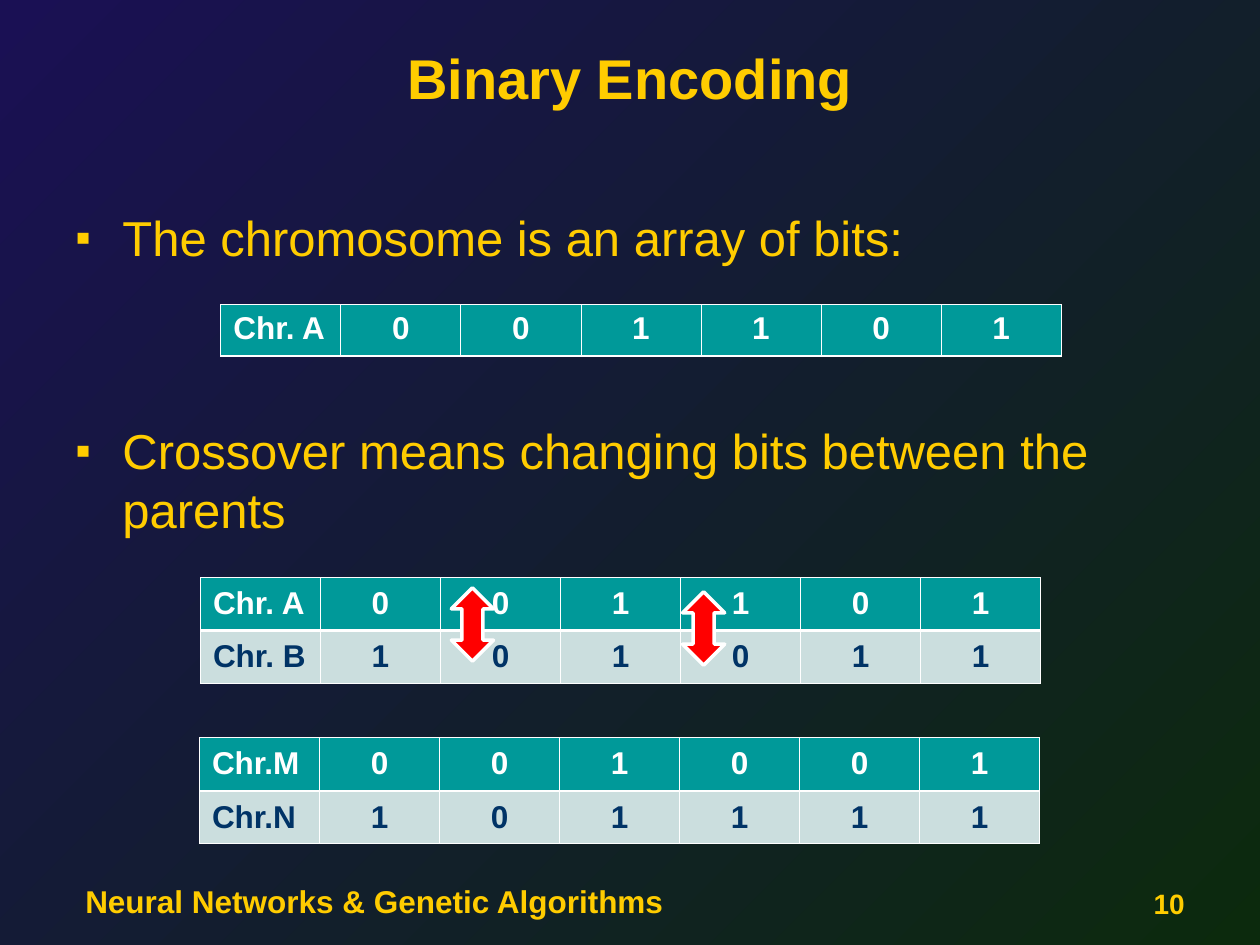
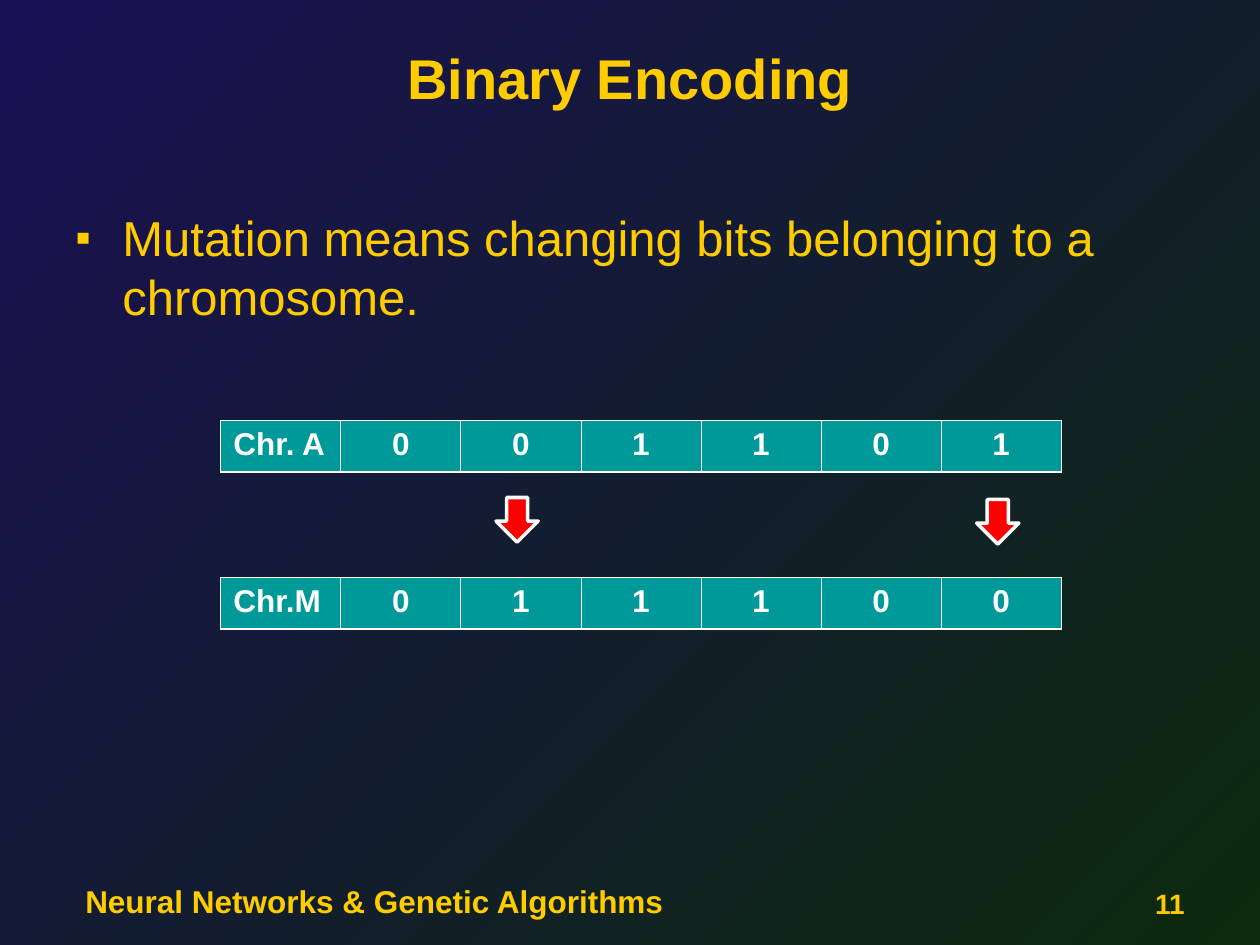
from lxml import etree
from pptx import Presentation
from pptx.dml.color import RGBColor
from pptx.enum import shapes, text
from pptx.oxml.ns import qn
from pptx.util import Cm, Pt

FONT = "Arial"
COLORS = {
    "sky": "1A1054",
    "ground": "0C2A0D",
    "gold": "FFCC00",
    "white": "FFFFFF",
    "teal": "009999",
    "pale": "CBDEDE",
    "navy": "003366",
    "red": "FF0000",
}
THIN, THICK = 0.45, 1.47
GENE_WIDTH = 2.42
FOOTER = "Neural Networks & Genetic Algorithms"
TITLE_ONLY = 5


def rgb(name):
    return RGBColor.from_string(COLORS[name])


def style(p, size, color="gold", bold=False, align=text.PP_ALIGN.LEFT):
    p.alignment = align
    p.font.name = FONT
    p.font.size = Pt(size)
    p.font.bold = bold
    p.font.color.rgb = rgb(color)


def set_background(master):
    fill = master.background.fill
    fill.gradient()
    fill.gradient_angle = 315
    for stop, name in zip(fill.gradient_stops, ("sky", "ground")):
        stop.color.rgb = rgb(name)


def add_label(slide, words, left, width, size, align):
    """Add a bold line to the band at the foot of the slide."""
    box = slide.shapes.add_textbox(Cm(left), Cm(17.35), Cm(width), Cm(1.32))
    tf = box.text_frame
    tf.word_wrap = True
    tf.vertical_anchor = text.MSO_ANCHOR.BOTTOM
    p = tf.paragraphs[0]
    p.text = words
    style(p, size, bold=True, align=align)


def new_slide(prs, title, number):
    slide = prs.slides.add_slide(prs.slide_layouts[TITLE_ONLY])
    sp = slide.shapes.title
    sp.left, sp.top, sp.width, sp.height = Cm(1.27), Cm(0.5), Cm(22.86), Cm(2.12)
    tf = sp.text_frame
    tf.text = title
    tf.vertical_anchor = text.MSO_ANCHOR.MIDDLE
    style(tf.paragraphs[0], 32, bold=True, align=text.PP_ALIGN.CENTER)
    add_label(slide, FOOTER, 1.47, 18.2, 18, text.PP_ALIGN.LEFT)
    add_label(slide, str(number), 18.2, 5.93, 16, text.PP_ALIGN.RIGHT)
    return slide


def add_bullet(p):
    pPr = p._p.get_or_add_pPr()
    pPr.set("marL", str(Cm(0.95)))
    pPr.set("indent", str(-Cm(0.95)))
    color = etree.Element(qn("a:buClr"))
    etree.SubElement(color, qn("a:srgbClr"), val=COLORS["gold"])
    marks = [
        color,
        etree.Element(qn("a:buSzPct"), val="90000"),
        etree.Element(qn("a:buFont"), typeface=FONT),
        etree.Element(qn("a:buChar"), char="▪"),
    ]
    for place, mark in enumerate(marks):
        pPr.insert_element_before(mark, *[qn(t) for t in ()], "a:tabLst", "a:defRPr", "a:extLst")


def add_bullets(slide, lines, gap=88):
    """Add bulleted lines, with gap points between them for a table."""
    box = slide.shapes.add_textbox(Cm(1.27), Cm(4.01), Cm(22.86), Cm(12.9))
    tf = box.text_frame
    tf.word_wrap = True
    tf.margin_top = Cm(0.18)
    for i, line in enumerate(lines):
        p = tf.add_paragraph() if i else tf.paragraphs[0]
        p.text = line
        p.line_spacing = Pt(33.6)
        p.space_before = Pt(gap if i else 0)
        style(p, 28)
        add_bullet(p)


def set_borders(cell, top, bottom):
    tcPr = cell._tc.get_or_add_tcPr()
    for side, width in (("L", THIN), ("R", THIN), ("T", top), ("B", bottom)):
        ln = etree.SubElement(tcPr, qn(f"a:ln{side}"), w=str(Pt(width)))
        fill = etree.SubElement(ln, qn("a:solidFill"))
        etree.SubElement(fill, qn("a:srgbClr"), val=COLORS["white"])


def add_chromosomes(slide, left, top, rows, row_height=1.04, spacing=1.0):
    """Add a table with one (name, bits) pair to a row."""
    columns = 1 + len(rows[0][1])
    frame = slide.shapes.add_table(
        len(rows), columns, Cm(left), Cm(top),
        Cm(GENE_WIDTH * columns), Cm(row_height * len(rows)))
    table = frame.table
    table.horz_banding = False
    for column in table.columns:
        column.width = Cm(GENE_WIDTH)
    for r, (name, bits) in enumerate(rows):
        table.rows[r].height = Cm(row_height)
        fill, color = ("pale", "navy") if r else ("teal", "white")
        for c, value in enumerate([name, *bits]):
            cell = table.cell(r, c)
            set_borders(cell, *((THICK, THIN) if r else (THIN, THICK)))
            cell.fill.solid()
            cell.fill.fore_color.rgb = rgb(fill)
            p = cell.text_frame.paragraphs[0]
            p.text = value
            p.line_spacing = spacing
            align = text.PP_ALIGN.CENTER if c else text.PP_ALIGN.LEFT
            style(p, 18, color, bold=True, align=align)


def add_arrow(slide, kind, left, top, height):
    sp = slide.shapes.add_shape(kind, Cm(left), Cm(top), Cm(0.85), Cm(height))
    sp.shadow.inherit = False
    sp.fill.solid()
    sp.fill.fore_color.rgb = rgb("red")
    sp.line.color.rgb = rgb("white")
    sp.line.width = Pt(2)


def add_crossover_slide(prs):
    slide = new_slide(prs, "Binary Encoding", 10)
    add_bullets(slide, [
        "The chromosome is an array of bits:",
        "Crossover means changing bits between the parents",
    ])
    add_chromosomes(slide, 4.45, 6.14, [("Chr. A", "001101")])
    parents = [("Chr. A", "001101"), ("Chr. B", "101011")]
    children = [("Chr.M", "001001"), ("Chr.N", "101111")]
    for left, top, rows in ((4.04, 11.64, parents), (4.02, 14.87, children)):
        add_chromosomes(slide, left, top, rows, row_height=1.07, spacing=1.07)
    for left, top in ((9.1, 11.85), (13.76, 11.93)):
        add_arrow(slide, shapes.MSO_SHAPE.UP_DOWN_ARROW, left, top, 1.48)


def add_mutation_slide(prs):
    slide = new_slide(prs, "Binary Encoding", 11)
    add_bullets(slide, ["Mutation means changing bits belonging to a chromosome."])
    add_chromosomes(slide, 4.45, 8.47, [("Chr. A", "001101")])
    add_chromosomes(slide, 4.45, 11.64, [("Chr.M", "011100")])
    for left, top in ((10, 10.03), (19.69, 10.07)):
        add_arrow(slide, shapes.MSO_SHAPE.DOWN_ARROW, left, top, 0.9)


def main():
    prs = Presentation()
    prs.slide_width, prs.slide_height = Cm(25.4), Cm(19.05)
    set_background(prs.slide_master)
    add_crossover_slide(prs)
    add_mutation_slide(prs)
    prs.save("out.pptx")


if __name__ == "__main__":
    main()
